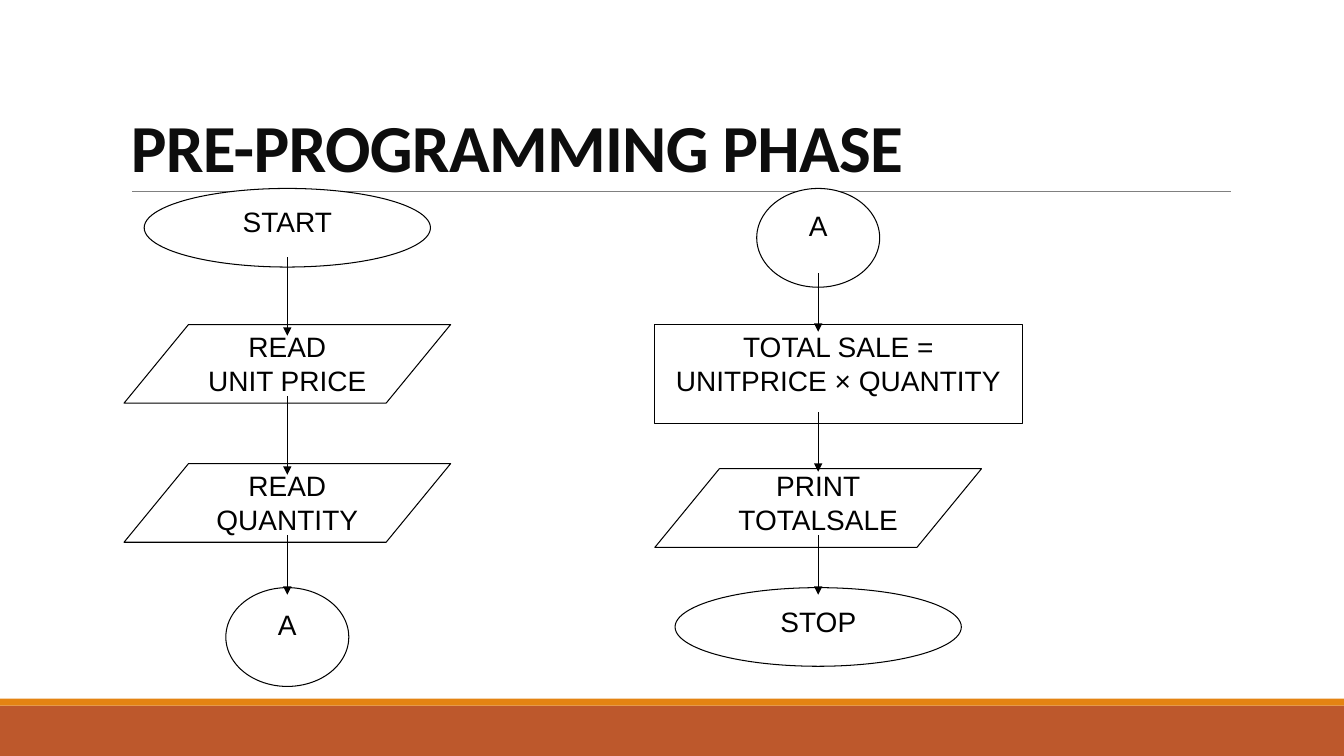
from pptx import Presentation
from pptx.dml.color import RGBColor as RGB
from pptx.enum.shapes import MSO_CONNECTOR as LINE, MSO_SHAPE as FORM
from pptx.enum.text import MSO_ANCHOR as ANCHOR, PP_ALIGN as ALIGN
from pptx.oxml.ns import qn
from pptx.util import Inches, Pt
from lxml.etree import SubElement as sub

THEME = {
    "ink": RGB(0, 0, 0), "paper": RGB(255, 255, 255), "title": RGB(13, 13, 13),
    "rule": RGB(128, 128, 128), "rust": RGB(0xBD, 0x58, 0x2C),
    "amber": RGB(0xE4, 0x83, 0x12),
    "head": ("Calibri", Pt(48)), "body": ("Arial", Pt(20)),
}

deck = Presentation()
deck.slide_width, deck.slide_height = Inches(13.33), Inches(7.5)
slide = deck.slides.add_slide(deck.slide_layouts[6])
shapes = slide.shapes

# Grid of 100 columns by 100 rows
COL, ROW = deck.slide_width / 100, deck.slide_height / 100


def cells(x, y, *size):
    """Turn columns and rows into lengths."""
    return [round(n * u) for n, u in zip((x, y, *size), (COL, ROW, COL, ROW))]


def link(x1, y1, x2, y2, color, width):
    line = shapes.add_connector(LINE.STRAIGHT, *cells(x1, y1), *cells(x2, y2))
    line.line.color.rgb, line.line.width = color, Pt(width)
    sub(line._element.spPr, qn("a:effectLst"))
    return line


# Footer bands and title rule
for top, high, tint in ((93.33, 6.67, "rust"), (92.4, 0.93, "amber")):
    band = shapes.add_shape(FORM.RECTANGLE, *cells(0, top, 100, high))
    band.shadow.inherit = False
    band.fill.solid()
    band.fill.fore_color.rgb = THEME[tint]
    band.line.fill.background()
link(9.83, 25.33, 91.6, 25.33, THEME["rule"], 0.5)

# Title
box = shapes.add_textbox(*cells(9, 4.13, 82.52, 21.2))
frame = box.text_frame
frame.word_wrap, frame.vertical_anchor = True, ANCHOR.BOTTOM
para = frame.paragraphs[0]
para.line_spacing = 0.85
run = para.add_run()
run.text = "PRE-PROGRAMMING PHASE"
run.font.name, run.font.size = THEME["head"]
run.font.bold, run.font.color.rgb = True, THEME["title"]
run._r.get_or_add_rPr().set("spc", "-50")

# Flowchart nodes: preset, width, height, gap above text, text width
KINDS = {
    "end": (FORM.OVAL, 21.3, 10.4, 1.53, 15),
    "join": (FORM.OVAL, 9.15, 13.07, 1.93, 6.45),
    "data": (FORM.PARALLELOGRAM, 24.3, 10.4, 0, 14.78),
    "step": (FORM.RECTANGLE, 27.38, 13.07, 0, 27.38),
}
LEFT, RIGHT = 21.38, 60.88
TOP, SECOND, THIRD, LAST = 24.93, 42.93, 61.33, 77.73

# Kind, centre column, top row, lift of text, wording
nodes = (
    ("end", LEFT, TOP, 0, "START"),
    ("data", LEFT, SECOND, 0, "READ\nUNIT PRICE"),
    ("data", LEFT, THIRD, 0, "READ\nQUANTITY"),
    ("join", LEFT, LAST, 0, "A"),
    ("join", RIGHT, TOP, 0, "A"),
    ("step", RIGHT + 1.5, SECOND, 0, "TOTAL SALE =\nUNITPRICE × QUANTITY"),
    ("data", RIGHT, THIRD + 0.67, 0.67, "PRINT\nTOTALSALE"),
    ("end", RIGHT, LAST, 0, "STOP"),
)
for kind, mid, top, lift, words in nodes:
    form, wide, high, gap, span = KINDS[kind]
    node = shapes.add_shape(form, *cells(mid - wide / 2, top, wide, high))
    node.shadow.inherit = False
    node.fill.solid()
    node.fill.fore_color.rgb = THEME["paper"]
    node.line.color.rgb, node.line.width = THEME["ink"], Pt(0.75)
    if kind == "data":
        node.adjustments[0] = 0.82
    if kind != "step":
        node = shapes.add_textbox(
            *cells(mid - span / 2, top + gap - lift, span, high - 2 * gap))
    frame = node.text_frame
    frame.word_wrap, frame.vertical_anchor = True, ANCHOR.TOP
    frame.margin_left = frame.margin_right = Inches(0.02)
    frame.margin_top = frame.margin_bottom = Inches(0.05)
    frame.text = words
    for para in frame.paragraphs:
        para.alignment = ALIGN.CENTER
        para.font.name, para.font.size = THEME["body"]
        para.font.color.rgb = THEME["ink"]

# Flow arrows: centre column, start row, end row
for mid, start, stop in (
    (LEFT, 34, 44.4), (LEFT, 52.4, 62.8), (LEFT, 70.8, 78.67),
    (RIGHT, 36.13, 43.87), (RIGHT, 54.53, 62.4), (RIGHT, 70.8, 78.67),
):
    arrow = link(mid, start, mid, stop, THEME["ink"], 0.75)
    sub(arrow.line._get_or_add_ln(), qn("a:tailEnd"), type="triangle")

deck.save("out.pptx")
